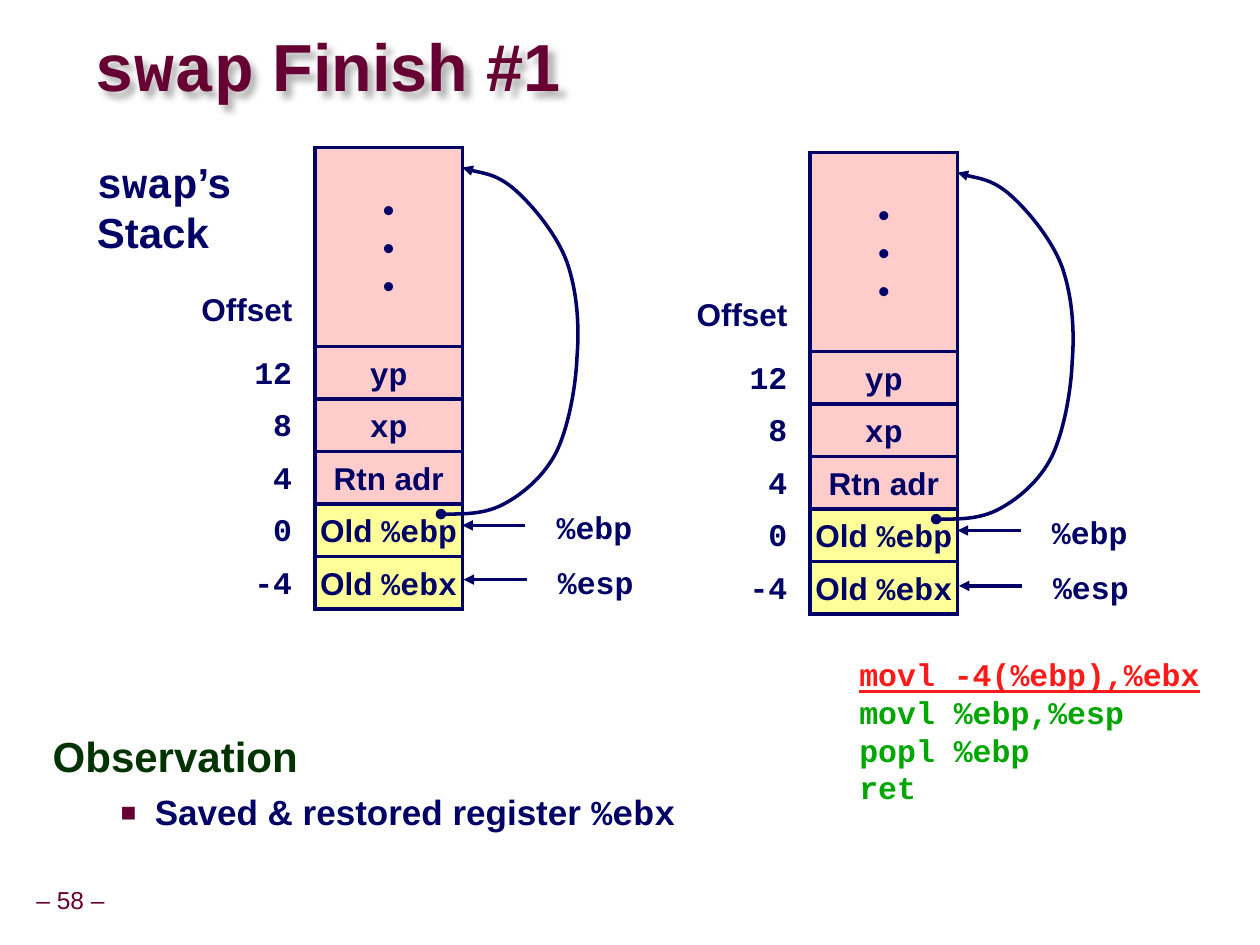
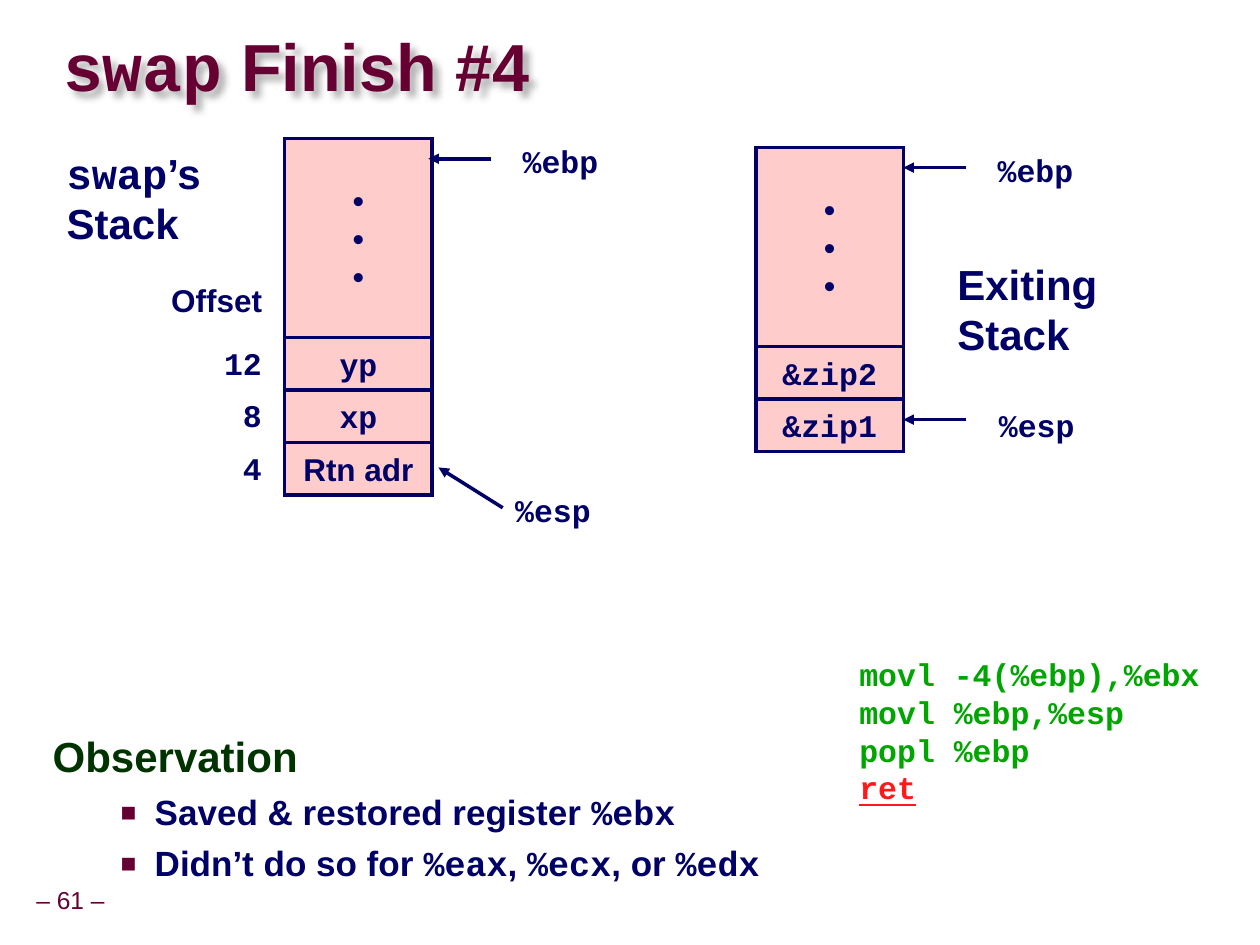
from dataclasses import dataclass

import pptx
import pptx.dml.color
import pptx.enum.shapes
import pptx.enum.text
import pptx.oxml
import pptx.oxml.ns
import pptx.util
from pptx.util import Inches

ALIGN = pptx.enum.text.PP_ALIGN
ANCHOR = pptx.enum.text.MSO_ANCHOR


@dataclass(frozen=True)
class Theme:
    sans: str = "Arial"
    mono: str = "Courier New"
    maroon: str = "660033"
    navy: str = "000066"
    forest: str = "003300"
    code: str = "00A600"
    current: str = "FF1A1A"
    caller_fill: str = "FFCCCC"
    callee_fill: str = "FFFF99"
    shadow: str = "000000"
    title_size: int = 38
    heading_size: int = 24
    bullet_size: int = 20
    label_size: int = 18
    footer_size: int = 14
    line_width: int = 2


THEME = Theme()


@dataclass(frozen=True)
class Run:
    text: str
    font: str = THEME.sans
    size: int = THEME.label_size
    color: str = THEME.navy
    bold: bool = True
    underline: bool = False


@dataclass(frozen=True)
class Box:
    left: float
    top: float
    width: float
    height: float


@dataclass(frozen=True)
class Cell:
    runs: list[Run]
    fill: str = THEME.caller_fill
    offset: str = ""


@dataclass(frozen=True)
class Stack:
    left: float
    top: float
    cells: list[Cell]


@dataclass(frozen=True)
class Pointer:
    """Arrow to a stack cell, with the register name beside its tail."""
    register: str
    tip_x: float
    tip_y: float
    run_x: float = 0.5
    run_y: float = 0
    label_gap: float = 0.15
    label_rise: float = 0.18


@dataclass(frozen=True)
class FinishSlide:
    number: int
    step: int
    title_left: float
    body_width: float
    stacks: list[Stack]
    pointers: list[Pointer]
    current_line: int
    bullets: list[list[Run]]
    saved_links: bool = False
    exiting: bool = False


# Stack geometry
CELL_WIDTH = 1.17
CELL_HEIGHT = 1.25 / 3
CALLER_HEIGHT = 1.58

# Saved frame pointer link, from the stack's corner: a start, then three points per cubic curve
LINK_POINTS = [
    (1.0, 2.91),
    (1.17, 2.91), (1.35, 2.91), (1.5, 2.83),
    (1.65, 2.75), (1.82, 2.61), (1.92, 2.41),
    (2.01, 2.22), (2.07, 1.91), (2.08, 1.66),
    (2.1, 1.41), (2.08, 1.14), (2.0, 0.91),
    (1.92, 0.69), (1.72, 0.45), (1.58, 0.33),
    (1.44, 0.21), (1.24, 0.19), (1.17, 0.16),
]

CODE_LINES = ["movl -4(%ebp),%ebx", "movl %ebp,%esp", "popl %ebp", "ret"]


def mono(text: str, **style) -> Run:
    return Run(text, THEME.mono, **style)


def rgb(color: str) -> pptx.dml.color.RGBColor:
    return pptx.dml.color.RGBColor.from_string(color)


def add_xml(parent, tag: str, **attributes: str):
    element = pptx.oxml.parse_xml(f"<a:{tag} {pptx.oxml.ns.nsdecls('a')}/>")
    for name, value in attributes.items():
        element.set(name, value)
    parent.append(element)
    return element


# Text
def fill_text(shape, paragraphs: list[list[Run]], align=ALIGN.LEFT, spacing: float = 1.0) -> None:
    frame = shape.text_frame
    for index, runs in enumerate(paragraphs):
        paragraph = frame.paragraphs[0] if index == 0 else frame.add_paragraph()
        paragraph.alignment = align
        paragraph.line_spacing = spacing
        for item in runs:
            run = paragraph.add_run()
            run.text = item.text
            run.font.name = item.font
            run.font.size = pptx.util.Pt(item.size)
            run.font.bold = item.bold
            run.font.underline = item.underline
            run.font.color.rgb = rgb(item.color)


def add_text(slide, box: Box, paragraphs: list[list[Run]], align=ALIGN.LEFT, spacing: float = 1.0,
             wrap: bool = False, anchor=ANCHOR.TOP, insets=(0.1, 0.05, 0.1, 0.05)):
    shape = slide.shapes.add_textbox(Inches(box.left), Inches(box.top),
                                     Inches(box.width), Inches(box.height))
    frame = shape.text_frame
    frame.word_wrap = wrap
    frame.vertical_anchor = anchor
    (frame.margin_left, frame.margin_top,
     frame.margin_right, frame.margin_bottom) = map(Inches, insets)
    fill_text(shape, paragraphs, align, spacing)
    return shape


# Lines and cells
def style_line(line):
    line.color.rgb = rgb(THEME.navy)
    line.width = pptx.util.Pt(THEME.line_width)
    element = line._get_or_add_ln()
    add_xml(element, "miter", lim="800000")
    return element


def add_cell(slide, box: Box, paragraphs: list[list[Run]], fill: str) -> None:
    shape = slide.shapes.add_shape(pptx.enum.shapes.MSO_SHAPE.RECTANGLE, Inches(box.left),
                                   Inches(box.top), Inches(box.width), Inches(box.height))
    shape.shadow.inherit = False
    shape.fill.solid()
    shape.fill.fore_color.rgb = rgb(fill)
    style_line(shape.line)
    shape.text_frame.word_wrap = False
    shape.text_frame.vertical_anchor = ANCHOR.MIDDLE
    fill_text(shape, paragraphs, ALIGN.CENTER)


def draw_stack(slide, stack: Stack) -> None:
    add_cell(slide, Box(stack.left, stack.top, CELL_WIDTH, CALLER_HEIGHT),
             [[Run("•")]] * 3, THEME.caller_fill)
    if any(cell.offset for cell in stack.cells):
        add_text(slide, Box(stack.left - 1, stack.top + 1.08, 0.92, 0.4), [[Run("Offset")]])
    for index, cell in enumerate(stack.cells):
        top = stack.top + CALLER_HEIGHT + index * CELL_HEIGHT
        add_cell(slide, Box(stack.left, top, CELL_WIDTH, CELL_HEIGHT), [cell.runs], cell.fill)
        if cell.offset:
            add_text(slide, Box(stack.left - 0.58, top, 0.65, 0.4), [[mono(f"{cell.offset:>2}")]])


def draw_pointer(slide, pointer: Pointer) -> None:
    tail_x, tail_y = pointer.tip_x + pointer.run_x, pointer.tip_y + pointer.run_y
    arrow = slide.shapes.add_connector(
        pptx.enum.shapes.MSO_CONNECTOR.STRAIGHT, Inches(tail_x), Inches(tail_y),
        Inches(pointer.tip_x), Inches(pointer.tip_y))
    add_xml(style_line(arrow.line), "tailEnd", type="triangle")
    add_xml(arrow._element.spPr, "effectLst")
    add_text(slide, Box(tail_x + pointer.label_gap, tail_y - pointer.label_rise, 0.8, 0.4),
             [[mono(pointer.register)]])


def draw_saved_link(slide, stack: Stack) -> None:
    points = [(Inches(stack.left + x), Inches(stack.top + y)) for x, y in LINK_POINTS]
    builder = slide.shapes.build_freeform(*points[0])
    builder.add_line_segments(points[1:], close=False)
    link = builder.convert_to_shape()
    link.shadow.inherit = False
    link.fill.background()
    line = style_line(link.line)
    add_xml(line, "headEnd", type="oval")
    add_xml(line, "tailEnd", type="triangle")
    # Each three straight segments become one cubic curve
    segments = link._element.findall(".//" + pptx.oxml.ns.qn("a:lnTo"))
    outline = segments[0].getparent()
    for index, segment in enumerate(segments):
        if index % 3 == 0:
            curve = add_xml(outline, "cubicBezTo")
        curve.append(segment[0])
        outline.remove(segment)


# Shared slide parts
def draw_title(slide, content: FinishSlide) -> None:
    style = dict(size=THEME.title_size, color=THEME.maroon)
    title = add_text(slide, Box(content.title_left, 0.25, 6.82 - content.title_left, 0.63),
                     [[mono("swap", **style), Run(f" Finish #{content.step}", **style)]],
                     spacing=0.87, wrap=True, anchor=ANCHOR.MIDDLE, insets=(0, 0, 0, 0))
    effects = add_xml(title._element.spPr, "effectLst")
    shadow = add_xml(effects, "outerShdw", blurRad="50800", dist="53880", dir="2700000")
    color = add_xml(shadow, "srgbClr", val=THEME.shadow)
    add_xml(color, "alpha", val="30000")


def draw_observation(slide, content: FinishSlide) -> None:
    heading = Run("Observation", size=THEME.heading_size, color=THEME.forest)
    body = add_text(slide, Box(0.32, 5.78, content.body_width, 1.27),
                    [[heading], *content.bullets], spacing=0.95, wrap=True)
    for paragraph in body.text_frame.paragraphs[1:]:
        paragraph.space_before = pptx.util.Pt(6.3)
        properties = paragraph._p.get_or_add_pPr()
        properties.set("marL", str(Inches(0.81)))
        properties.set("indent", str(Inches(-0.27)))
        add_xml(add_xml(properties, "buClr"), "srgbClr", val=THEME.maroon)
        add_xml(properties, "buSzPct", val="75000")
        add_xml(properties, "buFont", typeface=THEME.sans)
        add_xml(properties, "buChar", char="■")


def draw_slide(presentation, content: FinishSlide) -> None:
    slide = presentation.slides.add_slide(presentation.slide_layouts[6])
    draw_title(slide, content)
    add_text(slide, Box(0.23, 7, 0.66, 0.31),
             [[Run(f"– {content.number} –", size=THEME.footer_size, color=THEME.maroon, bold=False)]],
             ALIGN.CENTER, 0.9, anchor=ANCHOR.MIDDLE, insets=(0.05,) * 4)
    code = [[mono(text, color=THEME.current if index == content.current_line else THEME.code,
                  underline=index == content.current_line)]
            for index, text in enumerate(CODE_LINES)]
    add_text(slide, Box(6.22, 5.15, 3.42, 1.3), code, wrap=True, insets=(0.6, 0.05, 0, 0.05))
    for stack in content.stacks:
        draw_stack(slide, stack)
        if content.saved_links:
            draw_saved_link(slide, stack)
    for pointer in content.pointers:
        draw_pointer(slide, pointer)
    size = THEME.heading_size
    first = content.stacks[0]
    add_text(slide, Box(first.left - 1.83, first.top + 0.02, 1.28, 0.9),
             [[mono("swap", size=size), Run("’s", size=size)], [Run("Stack", size=size)]])
    if content.exiting:
        add_text(slide, Box(7.5, 2, 1.31, 0.9),
                 [[Run("Exiting", size=size)], [Run("Stack", size=size)]])
    draw_observation(slide, content)


# Content
ARGUMENTS = [Cell([mono("yp")], offset="12"), Cell([mono("xp")], offset="8"),
             Cell([Run("Rtn adr")], offset="4")]
SAVED = [Cell([Run("Old "), mono(register)], THEME.callee_fill, offset)
         for register, offset in (("%ebp", "0"), ("%ebx", "-4"))]
EXIT_CELLS = [Cell([mono("&zip2")]), Cell([mono("&zip1")])]

BULLET = dict(size=THEME.bullet_size)
RESTORED = [Run("Saved & restored register ", **BULLET), mono("%ebx", **BULLET)]
NOT_RESTORED = [Run("Didn’t do so for ", **BULLET), mono("%eax", **BULLET), Run(", ", **BULLET),
                mono("%ecx", **BULLET), Run(", or ", **BULLET), mono("%edx", **BULLET)]

SLIDES = [
    FinishSlide(58, 1, 0.75, 9.09,
                [Stack(2.5, 1.17, ARGUMENTS + SAVED), Stack(6.43, 1.21, ARGUMENTS + SAVED)],
                [Pointer("%ebp", 3.67, 4.17, label_rise=0.19), Pointer("%esp", 3.68, 4.6),
                 Pointer("%ebp", 7.6, 4.21, label_rise=0.19),
                 Pointer("%esp", 7.61, 4.65, label_rise=0.19)],
                0, [RESTORED], saved_links=True),
    FinishSlide(61, 4, 0.5, 6.27,
                [Stack(2.26, 1.1, ARGUMENTS), Stack(6, 1.17, EXIT_CELLS)],
                [Pointer("%ebp", 3.4, 1.26), Pointer("%esp", 3.48, 3.71, 0.51, 0.32, 0),
                 Pointer("%ebp", 7.17, 1.33),
                 Pointer("%esp", 7.17, 3.33, label_gap=0.16, label_rise=0.16)],
                3, [RESTORED, NOT_RESTORED], exiting=True),
]


def main() -> None:
    presentation = pptx.Presentation()
    presentation.slide_width, presentation.slide_height = Inches(10), Inches(7.5)
    for content in SLIDES:
        draw_slide(presentation, content)
    presentation.save("out.pptx")


if __name__ == "__main__":
    main()
